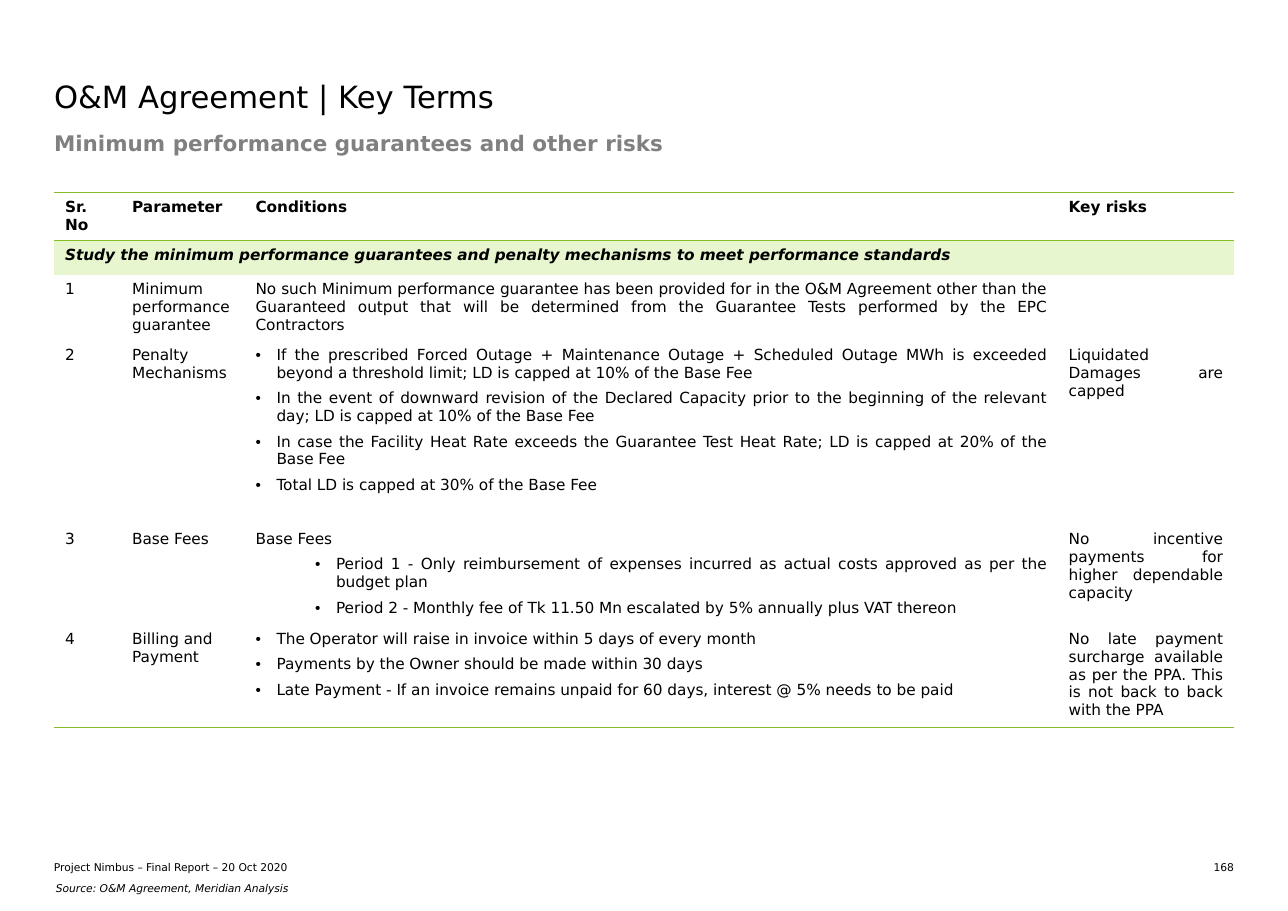
from lxml.etree import SubElement
from pptx import Presentation
from pptx.dml.color import RGBColor
from pptx.enum.text import MSO_ANCHOR, PP_ALIGN
from pptx.oxml.ns import qn
from pptx.util import Inches, Pt

FONT = "DejaVu Sans"
BLACK = RGBColor(0, 0, 0)
GREY = RGBColor(0x80, 0x80, 0x80)
GREEN = RGBColor(0x86, 0xBC, 0x25)
PALE = RGBColor(0xE8, 0xF6, 0xCF)

TITLE = "O&M Agreement | Key Terms"
SUBTITLE = "Minimum performance guarantees and other risks"
FOOTER = "Project Nimbus – Final Report – 20 Oct 2020"
SOURCE = "Source: O&M Agreement, Meridian Analysis"
PAGE = "168"

HEAD = ["Sr. No", "Parameter", "Conditions", "Key risks"]
BAND = ("Study the minimum performance guarantees and penalty mechanisms "
        "to meet performance standards")
# Conditions are (indent, text); an indent of 0 means no bullet
TERMS = [
    ("Minimum performance guarantee",
     [(0, "No such Minimum performance guarantee has been provided for in the "
          "O&M Agreement other than the Guaranteed output that will be "
          "determined from the Guarantee Tests performed by the EPC Contractors")],
     ""),
    ("Penalty Mechanisms",
     [(0.19, "If the prescribed Forced Outage + Maintenance Outage + Scheduled "
             "Outage MWh is exceeded beyond a threshold limit; LD is capped at "
             "10% of the Base Fee"),
      (0.19, "In the event of downward revision of the Declared Capacity prior "
             "to the beginning of the relevant day; LD is capped at 10% of the "
             "Base Fee"),
      (0.19, "In case the Facility Heat Rate exceeds the Guarantee Test Heat "
             "Rate; LD is capped at 20% of the Base Fee"),
      (0.19, "Total LD is capped at 30% of the Base Fee")],
     "Liquidated Damages are capped"),
    ("Base Fees",
     [(0, "Base Fees"),
      (0.73, "Period 1 - Only reimbursement of expenses incurred as actual "
             "costs approved as per the budget plan"),
      (0.73, "Period 2 - Monthly fee of Tk 11.50 Mn escalated by 5% annually "
             "plus VAT thereon")],
     "No incentive payments for higher dependable capacity"),
    ("Billing and Payment",
     [(0.19, "The Operator will raise in invoice within 5 days of every month"),
      (0.19, "Payments by the Owner should be made within 30 days"),
      (0.19, "Late Payment - If an invoice remains unpaid for 60 days, "
             "interest @ 5% needs to be paid")],
     "No late payment surcharge available as per the PPA. "
     "This is not back to back with the PPA"),
]
COLS = [0.61, 1.12, 7.38, 1.6]
ROWS = [0.43, 0.31, 0.59, 1.67, 0.89, 0.91]
LEFT, WIDTH, TOP = 0.49, 10.71, 1.75
HANG = 0.19


def style(para, size, color=BLACK, bold=False, italic=False, align=PP_ALIGN.LEFT):
    para.alignment = align
    font = para.font
    font.name, font.size, font.bold, font.italic = FONT, Pt(size), bold, italic
    font.color.rgb = color


def place(shape, box, text, size, anchor=MSO_ANCHOR.TOP, inset=0, **look):
    shape.left, shape.top, shape.width, shape.height = map(Inches, box)
    frame = shape.text_frame
    frame.word_wrap = True
    frame.vertical_anchor = anchor
    frame.margin_left = frame.margin_right = Inches(inset)
    frame.margin_top = frame.margin_bottom = Inches(inset)
    frame.text = text
    style(frame.paragraphs[0], size, **look)


def bullet(para, indent):
    props = para._p.get_or_add_pPr()
    props.set("marL", str(Inches(indent)))
    props.set("indent", str(-Inches(HANG)))
    SubElement(props, qn("a:buFont")).set("typeface", "Arial")
    SubElement(props, qn("a:buChar")).set("char", "•")


def border(cell, sides):
    """Draw the named sides in green and clear the others."""
    props = cell._tc.get_or_add_tcPr()
    for spot, side in enumerate("LRTB"):
        line = SubElement(props, qn("a:ln" + side))
        props.insert(spot, line)
        if side in sides:
            line.set("w", str(Pt(1)))
            fill = SubElement(line, qn("a:solidFill"))
            SubElement(fill, qn("a:srgbClr")).set("val", str(GREEN))
        else:
            SubElement(line, qn("a:noFill"))


def write(cell, items, **look):
    frame = cell.text_frame
    for num, (indent, text) in enumerate(items):
        para = frame.add_paragraph() if num else frame.paragraphs[0]
        para.text = text
        if indent:
            bullet(para, indent)
        para.space_after = Pt(5)
        style(para, 10, **look)


def build_table(slide):
    grid = slide.shapes.add_table(len(ROWS), len(COLS), Inches(LEFT), Inches(TOP),
                                  Inches(WIDTH), Inches(sum(ROWS))).table
    grid.first_row = grid.horz_banding = False
    for col, width in zip(grid.columns, COLS):
        col.width = Inches(width)
    for row, height in zip(grid.rows, ROWS):
        row.height = Inches(height)

    sides = {0: "TB", 1: "T", len(ROWS) - 1: "B"}
    for r, row in enumerate(grid.rows):
        for cell in row.cells:
            if r == 1:
                cell.fill.solid()
                cell.fill.fore_color.rgb = PALE
            else:
                cell.fill.background()
            border(cell, sides.get(r, ""))

    for c, text in enumerate(HEAD):
        write(grid.cell(0, c), [(0, text)], bold=True)
    grid.cell(1, 0).merge(grid.cell(1, len(COLS) - 1))
    write(grid.cell(1, 0), [(0, BAND)], bold=True, italic=True)
    for num, (name, terms, risk) in enumerate(TERMS, 1):
        r = num + 1
        write(grid.cell(r, 0), [(0, str(num))])
        write(grid.cell(r, 1), [(0, name)])
        write(grid.cell(r, 2), terms, align=PP_ALIGN.JUSTIFY)
        if risk:
            write(grid.cell(r, 3), [(0, risk)], align=PP_ALIGN.JUSTIFY)


def main():
    deck = Presentation()
    deck.slide_width, deck.slide_height = Inches(11.69), Inches(8.27)
    slide = deck.slides.add_slide(deck.slide_layouts[5])

    def label(*args, **look):
        place(slide.shapes.add_textbox(0, 0, 0, 0), *args, **look)

    place(slide.shapes.title, (LEFT, 0.71, WIDTH, 0.47), TITLE, 20)
    label((LEFT, 1.18, WIDTH, 0.57), SUBTITLE, 14, color=GREY, bold=True)
    build_table(slide)
    label((LEFT, 7.81, 4.83, 0.12), FOOTER, 7, anchor=MSO_ANCHOR.BOTTOM)
    label((10.75, 7.81, 0.45, 0.12), PAGE, 7, align=PP_ALIGN.RIGHT)
    label((0.41, 7.94, 10.87, 0.25), SOURCE, 7, anchor=MSO_ANCHOR.MIDDLE,
          inset=0.1, italic=True)
    deck.save("out.pptx")


if __name__ == "__main__":
    main()
